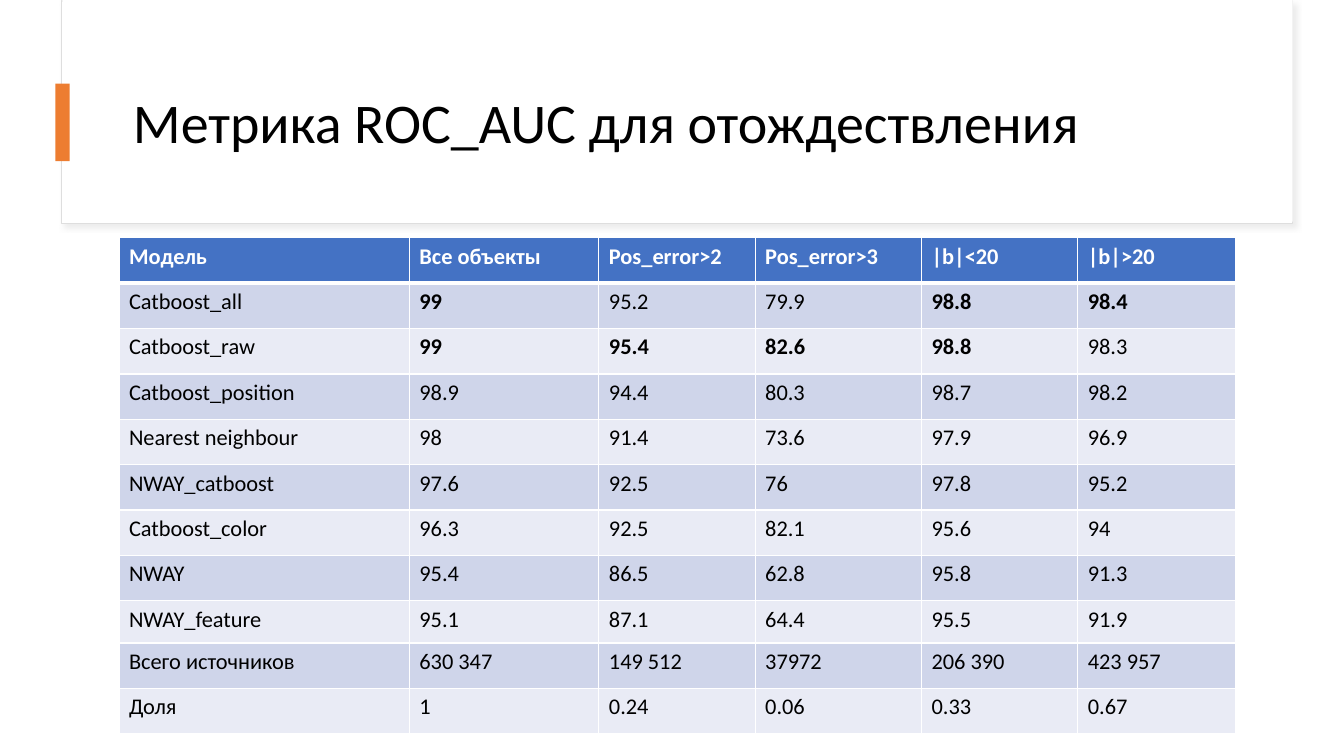
"""Build the slide with the ROC_AUC comparison table."""
import pptx
import pptx.dml.color
import pptx.enum.shapes
import pptx.enum.text
import pptx.oxml
import pptx.oxml.ns
import pptx.util
from pptx.util import Inches

HEADER = ["Модель", "Все объекты", "Pos_error>2", "Pos_error>3", "|b|<20", "|b|>20"]
RESULTS = [
    ["Catboost_all", "99", "95.2", "79.9", "98.8", "98.4"],
    ["Catboost_raw", "99", "95.4", "82.6", "98.8", "98.3"],
    ["Catboost_position", "98.9", "94.4", "80.3", "98.7", "98.2"],
    ["Nearest neighbour", "98", "91.4", "73.6", "97.9", "96.9"],
    ["NWAY_catboost", "97.6", "92.5", "76", "97.8", "95.2"],
    ["Catboost_color", "96.3", "92.5", "82.1", "95.6", "94"],
    ["NWAY", "95.4", "86.5", "62.8", "95.8", "91.3"],
    ["NWAY_feature", "95.1", "87.1", "64.4", "95.5", "91.9"],
    ["Всего источников", "630 347", "149 512", "37972", "206 390", "423 957"],
    ["Доля", "1", "0.24", "0.06", "0.33", "0.67"],
]
BEST_RESULTS = {(1, 1), (1, 4), (1, 5), (2, 1), (2, 2), (2, 3), (2, 4)}
COLUMN_WIDTHS = [2.88, 1.88, 1.55, 1.65, 1.55, 1.57]
ROW_HEIGHTS = [0.45] * 8 + [0.42] + [0.45] * 2


def color(value):
    return pptx.dml.color.RGBColor.from_string(value)


class SlideBuilder:
    font_name = "Calibri"
    text_color = "000000"
    header_fill = "4472C4"
    band_fills = ("E9EBF5", "CFD5EA")

    def __init__(self, presentation):
        self.slide = presentation.slides.add_slide(presentation.slide_layouts[6])

    def format_text(self, paragraph, size, font_color, bold=False):
        for run in paragraph.runs:
            run.font.name = self.font_name
            run.font.size = pptx.util.Pt(size)
            run.font.bold = bold
            run.font.color.rgb = color(font_color)

    def rectangle(self, left, top, width, height, fill, line=None):
        shape = self.slide.shapes.add_shape(
            pptx.enum.shapes.MSO_SHAPE.RECTANGLE,
            Inches(left), Inches(top), Inches(width), Inches(height))
        shape.shadow.inherit = False
        shape.fill.solid()
        shape.fill.fore_color.rgb = color(fill)
        if line:
            shape.line.color.rgb = color(line)
            shape.line.width = pptx.util.Pt(0.75)
        else:
            shape.line.fill.background()
        return shape

    def shadow(self, shape):
        effects = shape.element.spPr.find(pptx.oxml.ns.qn("a:effectLst"))
        effects.append(pptx.oxml.parse_xml(
            f'<a:outerShdw {pptx.oxml.ns.nsdecls("a")} blurRad="{pptx.util.Pt(4)}" '
            f'dist="{pptx.util.Pt(3)}" dir="2700000" algn="tl" rotWithShape="0">'
            '<a:srgbClr val="D9D9D9"><a:alpha val="50000"/></a:srgbClr></a:outerShdw>'))

    def title(self, text, left, top, width, height):
        box = self.slide.shapes.add_textbox(
            Inches(left), Inches(top), Inches(width), Inches(height))
        frame = box.text_frame
        frame.word_wrap = True
        frame.vertical_anchor = pptx.enum.text.MSO_ANCHOR.MIDDLE
        frame.text = text
        paragraph = frame.paragraphs[0]
        paragraph.line_spacing = 0.9
        self.format_text(paragraph, 40, self.text_color)

    def borders(self, cell, top, bottom):
        properties = cell._tc.get_or_add_tcPr()
        for side, width in (("L", 1), ("R", 1), ("T", top), ("B", bottom)):
            properties.append(pptx.oxml.parse_xml(
                f'<a:ln{side} {pptx.oxml.ns.nsdecls("a")} w="{pptx.util.Pt(width)}">'
                f'<a:solidFill><a:srgbClr val="FFFFFF"/></a:solidFill></a:ln{side}>'))

    def table(self, rows, left, top, widths, heights, bold_cells):
        table = self.slide.shapes.add_table(
            len(rows), len(widths), Inches(left), Inches(top),
            Inches(sum(widths)), Inches(sum(heights))).table
        for column, width in zip(table.columns, widths):
            column.width = Inches(width)
        for row, height in zip(table.rows, heights):
            row.height = Inches(height)
        for row_index, values in enumerate(rows):
            header = row_index == 0
            for column_index, value in enumerate(values):
                cell = table.cell(row_index, column_index)
                self.borders(cell, 3 if row_index == 1 else 1, 3 if header else 1)
                cell.fill.solid()
                cell.fill.fore_color.rgb = color(
                    self.header_fill if header else self.band_fills[row_index % 2])
                cell.text_frame.text = value
                self.format_text(
                    cell.text_frame.paragraphs[0], 16,
                    "FFFFFF" if header else self.text_color,
                    header or (row_index, column_index) in bold_cells)


def main():
    presentation = pptx.Presentation()
    presentation.slide_width = Inches(13.33)
    presentation.slide_height = Inches(7.5)
    builder = SlideBuilder(presentation)
    title_frame = builder.rectangle(0.61, 0.01, 12.21, 2.21, "FFFFFF", "DEDEDE")
    builder.shadow(title_frame)
    builder.rectangle(0.62, 0, 12.2, 2.2, "FFFFFF")
    builder.title("Метрика ROC_AUC для отождествления", 1.22, 0.6, 11.12, 1.29)
    builder.rectangle(0.55, 0.83, 0.14, 0.77, "ED7D31")
    builder.table([HEADER] + RESULTS, 1.18, 2.36, COLUMN_WIDTHS, ROW_HEIGHTS, BEST_RESULTS)
    presentation.save("out.pptx")


if __name__ == "__main__":
    main()
